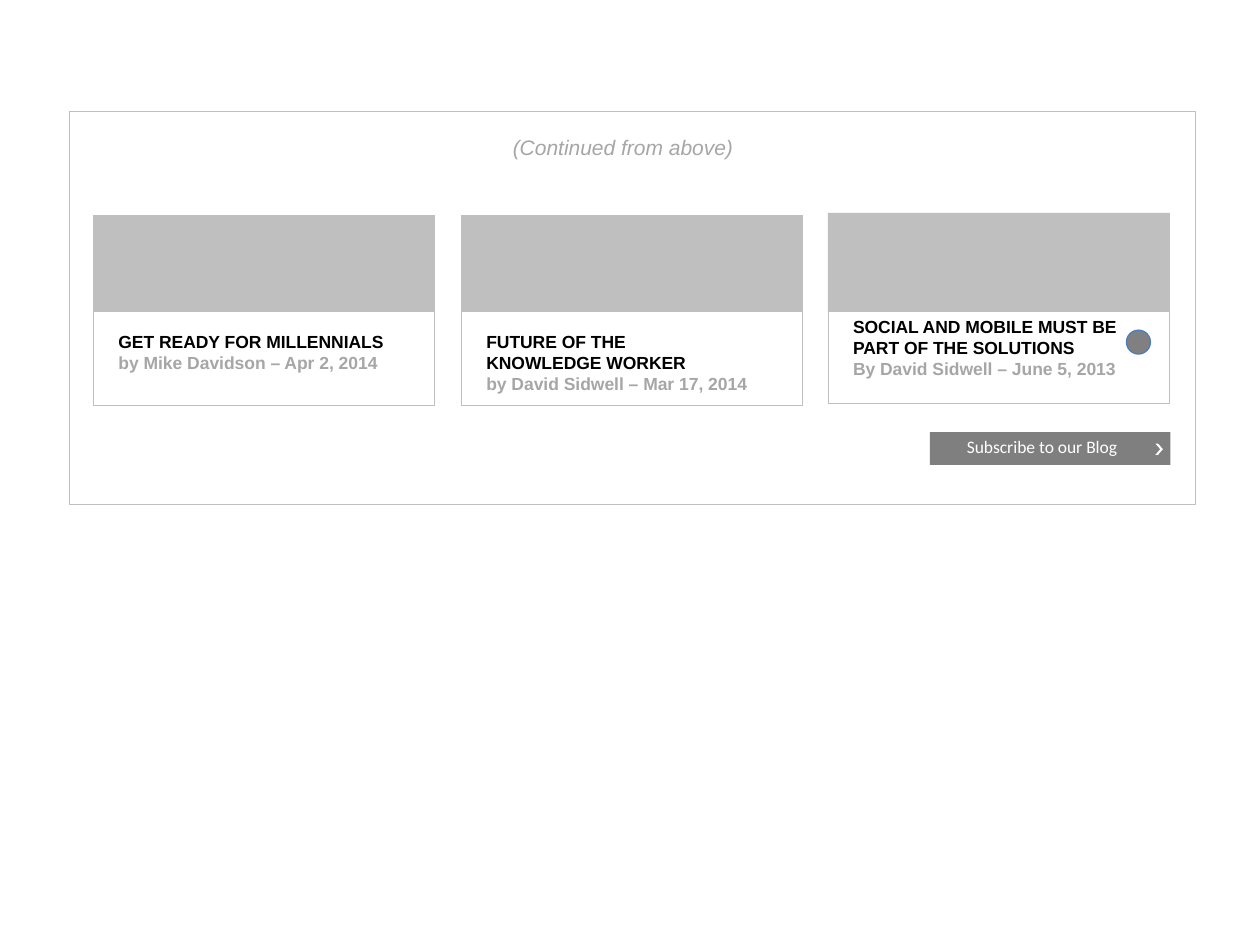
from dataclasses import dataclass

from pptx import Presentation
from pptx.dml.color import RGBColor
from pptx.enum.shapes import MSO_SHAPE
from pptx.enum.text import MSO_AUTO_SIZE, PP_ALIGN
from pptx.util import Inches, Pt

RECT, OVAL, CHEVRON = MSO_SHAPE.RECTANGLE, MSO_SHAPE.OVAL, MSO_SHAPE.CHEVRON
LEFT, CENTER = PP_ALIGN.LEFT, PP_ALIGN.CENTER
FIT = MSO_AUTO_SIZE.SHAPE_TO_FIT_TEXT


@dataclass(frozen=True)
class Theme:
    white: str = "FFFFFF"
    black: str = "000000"
    edge: str = "BFBFBF"
    muted: str = "A6A6A6"
    button: str = "7F7F7F"
    dot: str = "808080"
    ring: str = "4B7EBC"
    font: str = "Arial"
    label: str = "Calibri"
    body: int = 10
    note: int = 12
    thin: float = 0.25
    thick: float = 0.75


def write(frame, text, first=False, *, font, size, color,
          bold=False, italic=False, align=LEFT):
    """Write one paragraph, with a line break at each newline."""
    para = frame.paragraphs[0] if first else frame.add_paragraph()
    para.alignment = align
    for i, line in enumerate(text.split("\n")):
        if i:
            para.add_line_break()
        run = para.add_run()
        run.text = line
        run.font.name, run.font.size = font, Pt(size)
        run.font.bold, run.font.italic = bold, italic
        run.font.color.rgb = RGBColor.from_string(color)


class Page:
    def __init__(self, slide, theme):
        self.slide, self.theme = slide, theme

    def shape(self, kind, box, fill, line=None, width=None):
        item = self.slide.shapes.add_shape(kind, *map(Inches, box))
        item.shadow.inherit = False
        item.fill.solid()
        item.fill.fore_color.rgb = RGBColor.from_string(fill)
        if line:
            item.line.color.rgb = RGBColor.from_string(line)
            item.line.width = Pt(width or self.theme.thin)
        else:
            item.line.fill.background()
        return item

    def text(self, box, lines, **style):
        """Add a text box; lines holds pairs of text and colour."""
        frame = self.slide.shapes.add_textbox(*map(Inches, box)).text_frame
        frame.word_wrap = True
        frame.auto_size = FIT
        frame.margin_left = frame.margin_right = 0
        frame.margin_top = frame.margin_bottom = 0
        for i, (text, color) in enumerate(lines):
            write(frame, text, i == 0, color=color, **style)

    def card(self, left, top, band, drop, wide, high, title, author):
        look = self.theme
        self.shape(RECT, (left, top, 2.71, 1.51), look.white, look.edge)
        self.shape(RECT, (left, top, 2.71, band), look.edge, look.edge)
        self.text((left + 0.2, top + drop, wide, high),
                  [(title, look.black), (author, look.muted)],
                  font=look.font, size=look.body, bold=True)

    def button(self, text):
        look = self.theme
        self.shape(RECT, (7.38, 3.43, 1.91, 0.26), look.button)
        self.text((7.45, 3.46, 1.64, 0.17), [(text, look.white)],
                  font=look.label, size=look.body, align=CENTER)
        arrow = self.shape(CHEVRON, (9.17, 3.52, 0.06, 0.09), look.white)
        arrow.adjustments[0] = 0.65


def main():
    deck = Presentation()
    deck.slide_width, deck.slide_height = Inches(10), Inches(7.5)
    look = Theme()
    page = Page(deck.slides.add_slide(deck.slide_layouts[6]), look)

    page.shape(RECT, (0.55, 0.88, 8.94, 3.12), look.white, look.edge)
    page.text((2.94, 1.07, 4.01, 0.2), [("(Continued from above)", look.muted)],
              font=look.font, size=look.note, italic=True, align=CENTER)

    cards = [
        (0.74, 1.71, 0.76, 0.92, 2.36, 0.34,
         "GET READY FOR MILLENNIALS", "by Mike Davidson – Apr 2, 2014"),
        (3.66, 1.71, 0.76, 0.92, 2.36, 0.5,
         "FUTURE OF THE\nKNOWLEDGE WORKER", "by David Sidwell – Mar 17, 2014"),
        (6.57, 1.69, 0.78, 0.82, 2.11, 0.5,
         "SOCIAL AND MOBILE MUST BE PART OF THE SOLUTIONS",
         "By David Sidwell – June 5, 2013"),
    ]
    for card in cards:
        page.card(*card)
    page.shape(OVAL, (8.94, 2.62, 0.19, 0.19), look.dot, look.ring, look.thick)
    page.button("Subscribe to our Blog")
    deck.save("out.pptx")


if __name__ == "__main__":
    main()
